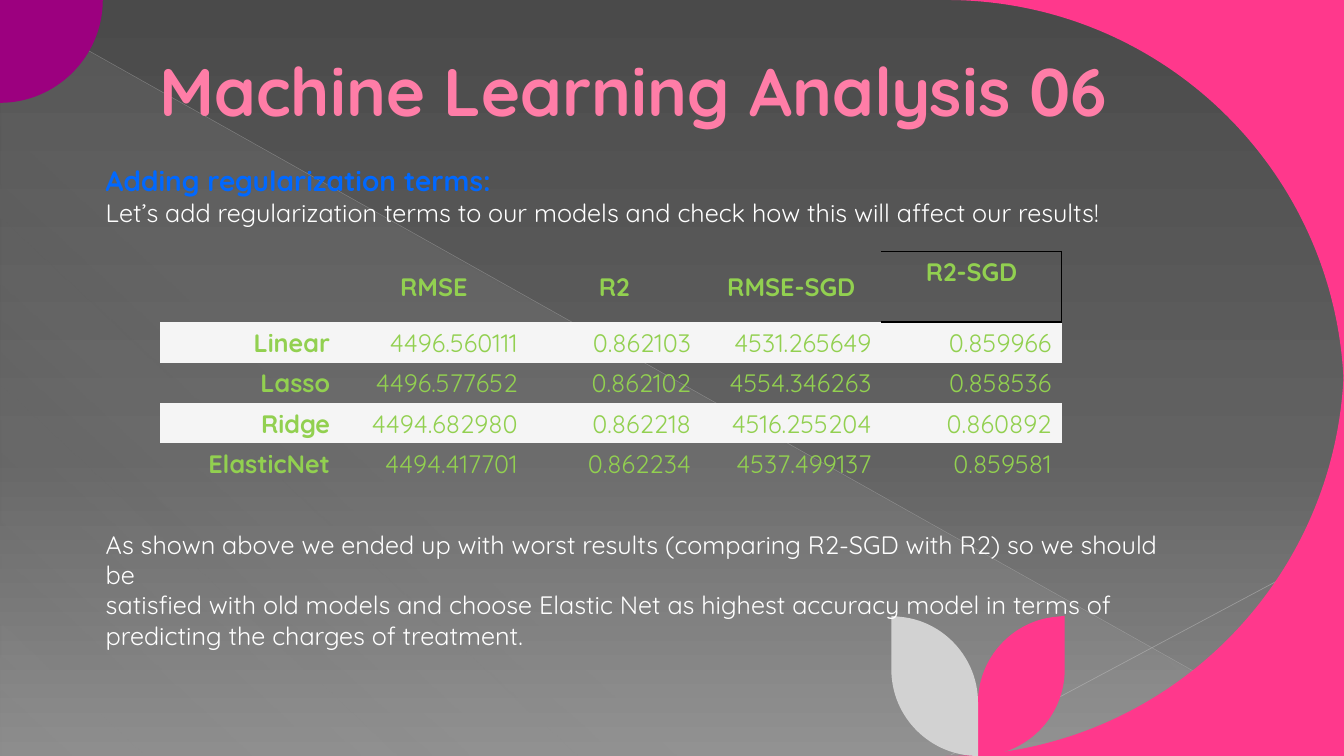
"""Build the regularization results slide of a machine learning analysis."""
import dataclasses
import typing

import pptx
import pptx.dml.color
import pptx.enum.shapes
import pptx.enum.text
import pptx.oxml
import pptx.oxml.ns
import pptx.util

RGB = pptx.dml.color.RGBColor
PINK = RGB(0xFF, 0x38, 0x8C)
TITLE_PINK = RGB(0xFF, 0x7D, 0xA7)
PURPLE = RGB(0x9C, 0x00, 0x7F)
SILVER = RGB(0xD2, 0xD2, 0xD2)
LINE_GREY = RGB(0xC6, 0xC6, 0xC6)
BLUE = RGB(0x00, 0x68, 0xFF)
GREEN = RGB(0x92, 0xD0, 0x50)
WHITE = RGB(0xFF, 0xFF, 0xFF)
BAND = RGB(0xF5, 0xF5, 0xF5)
BLACK = RGB(0, 0, 0)
SLATE = (RGB(0x4A, 0x4A, 0x4A), RGB(0x62, 0x62, 0x62), RGB(0x8C, 0x8C, 0x8C))

FONT = "Quicksand"
WIDTH, HEIGHT = pptx.util.Inches(13.33), pptx.util.Inches(7.5)
LEAF_AXIS = 72.77
ANCHOR = pptx.enum.text.MSO_ANCHOR
ALIGN = pptx.enum.text.PP_ALIGN
DRAWING_NS = pptx.oxml.ns.nsdecls("a")

Point = tuple[float, float]


@dataclasses.dataclass(frozen=True)
class Outline:
    """Closed outline in slide percentages; a piece is a corner or a curve's last three points."""
    color: RGB
    pieces: tuple[tuple[Point, ...], ...]


@dataclasses.dataclass(frozen=True)
class Line:
    """One paragraph of text and its font values."""
    words: str
    size: float
    color: RGB
    bold: bool = False


@dataclasses.dataclass(frozen=True)
class Passage:
    """Text box in slide percentages, with its frame values."""
    box: tuple[float, float, float, float]
    lines: tuple[Line, ...]
    frame: dict[str, typing.Any] = dataclasses.field(default_factory=dict)


LEAF = (((79.22, 81.47),), ((79.22, 88.53),), ((79.22, 94.93), (76.29, 100), (LEAF_AXIS, 100)),
        ((LEAF_AXIS, 92.93),), ((LEAF_AXIS, 87.07), (75.32, 82.13), (78.54, 81.6)))
MIRRORED_LEAF = tuple(tuple((2 * LEAF_AXIS - x, y) for x, y in piece) for piece in LEAF)

OUTLINES = (
    Outline(PINK, (((100, 0),), ((70.37, 0),), ((86.8, 0), (100, 23.6), (100, 52.67)))),
    Outline(PINK, (((100, 47.33),), ((100, 76.4), (86.8, 100), (70.37, 100)), ((100, 100),))),
    Outline(PURPLE, (((0, 0),), ((7.65, 0),), ((7.65, 7.47), (4.2, 13.6), (0, 13.6)))),
    Outline(PINK, LEAF),
    Outline(SILVER, MIRRORED_LEAF),
)
HAIRLINES = (((0, 0.13), (99.92, 99.87), 0.39, 35), ((100, 72.13), (70.74, 99.87), 0.47, 45))

PASSAGES = (
    Passage((7.13, 6.8, 80.2, 21.73), (Line("Machine Learning Analysis 06", 48, TITLE_PINK, True),),
            {"vertical_anchor": ANCHOR.BOTTOM, "margin_left": pptx.util.Inches(0.63),
             "margin_bottom": pptx.util.Inches(0.85)}),
    Passage((7.13, 21.03, 90.62, 18), (
        Line("Adding regularization terms:", 20, BLUE, True),
        Line("Let’s add regularization terms to our models and check how this will affect our results!",
             18, WHITE))),
    Passage((7.13, 65.33, 81.17, 17.47), tuple(Line(words, 18, WHITE) for words in (
        "As shown above we ended up with worst results (comparing R2-SGD with R2) so we should be",
        "satisfied with old models and choose Elastic Net as highest accuracy model in terms of",
        "predicting the charges of treatment.")),
        {"margin_top": pptx.util.Inches(0.35)}),
)

SCORES = (
    ("", "RMSE", "R2", "RMSE-SGD", "R2-SGD"),
    ("Linear", "4496.560111", "0.862103", "4531.265649", "0.859966"),
    ("Lasso", "4496.577652", "0.862102", "4554.346263", "0.858536"),
    ("Ridge", "4494.682980", "0.862218", "4516.255204", "0.860892"),
    ("ElasticNet", "4494.417701", "0.862234", "4537.499137", "0.859581"),
)
SCORE_COLUMNS = (13.43, 13.95, 12.9, 13.43, 13.4)
SCORE_ROWS = (9.4,) + (5.33,) * 4
BOXED_EDGES = {"R": 0.75, "T": 0.75, "B": 1.5}


def across(share: float) -> int:
    """Turn a percentage of the slide's width into a length."""
    return round(WIDTH * share / 100)


def down(share: float) -> int:
    """Turn a percentage of the slide's height into a length."""
    return round(HEIGHT * share / 100)


def set_all(target: typing.Any, values: dict[str, typing.Any]) -> None:
    """Set each named value on the target."""
    for name, value in values.items():
        setattr(target, name, value)


def paint_gradient(owner: typing.Any, stops: typing.Sequence[tuple[int, RGB, int]], angle: int) -> None:
    """Replace the owner's gradient with stops of position, colour and opacity."""
    gradient = next(owner.iter(pptx.oxml.ns.qn("a:gradFill")))
    marks = "".join(f'<a:gs pos="{place * 1000}"><a:srgbClr val="{color}"><a:alpha val="{opacity * 1000}"/>'
                    "</a:srgbClr></a:gs>" for place, color, opacity in stops)
    gradient.getparent().replace(gradient, pptx.oxml.parse_xml(
        f'<a:gradFill {DRAWING_NS} rotWithShape="1"><a:gsLst>{marks}</a:gsLst>'
        f'<a:lin ang="{angle * 60000}" scaled="0"/></a:gradFill>'))


def draw_backdrop(slide: typing.Any) -> None:
    """Paint the background, its sheen and its hairlines."""
    slide.background.fill.gradient()
    paint_gradient(slide.element, [(p, c, 100) for p, c in zip((0, 60, 100), SLATE)], 90)
    sheen = slide.shapes.add_shape(pptx.enum.shapes.MSO_SHAPE.RIGHT_TRIANGLE,
                                   across(0.08), down(0.27), across(99.85), down(99.73))
    sheen.shadow.inherit = False
    sheen.line.fill.background()
    sheen.fill.gradient()
    paint_gradient(sheen.element, [(0, SILVER, 10), (70, SILVER, 8), (100, SILVER, 1)], 133)
    for start, end, weight, opacity in HAIRLINES:
        hairline = slide.shapes.add_connector(pptx.enum.shapes.MSO_CONNECTOR.STRAIGHT, across(start[0]),
                                              down(start[1]), across(end[0]), down(end[1]))
        hairline.line.width = pptx.util.Pt(weight)
        hairline.line.color.rgb = LINE_GREY
        tint = next(hairline.element.iter(pptx.oxml.ns.qn("a:srgbClr")))
        tint.append(pptx.oxml.parse_xml(f'<a:alpha {DRAWING_NS} val="{opacity * 1000}"/>'))
        hairline.element.spPr.append(pptx.oxml.parse_xml(f"<a:effectLst {DRAWING_NS}/>"))


def draw_outline(slide: typing.Any, outline: Outline) -> None:
    """Draw one filled outline, bending the segments that are curves."""
    start, *rest = [(across(piece[-1][0]), down(piece[-1][1])) for piece in outline.pieces]
    builder = slide.shapes.build_freeform(*start)
    builder.add_line_segments(rest, close=True)
    petal = builder.convert_to_shape()
    segments = list(petal.element.iter(pptx.oxml.ns.qn("a:lnTo")))
    for segment, piece in zip(segments, outline.pieces[1:]):
        if len(piece) == 3:
            controls = "".join(f'<a:pt x="{across(x) - petal.left}" y="{down(y) - petal.top}"/>'
                               for x, y in piece)
            segment.getparent().replace(segment, pptx.oxml.parse_xml(
                f"<a:cubicBezTo {DRAWING_NS}>{controls}</a:cubicBezTo>"))
    petal.shadow.inherit = False
    petal.fill.solid()
    petal.fill.fore_color.rgb = outline.color
    petal.line.fill.background()


def write(paragraph: typing.Any, line: Line) -> None:
    """Write one line into a paragraph."""
    run = paragraph.add_run()
    run.text = line.words
    set_all(run.font, {"name": FONT, "size": pptx.util.Pt(line.size), "bold": line.bold})
    run.font.color.rgb = line.color


def draw_passage(slide: typing.Any, passage: Passage) -> None:
    """Draw one text box."""
    left, top, width, height = passage.box
    frame = slide.shapes.add_textbox(across(left), down(top), across(width), down(height)).text_frame
    set_all(frame, {"word_wrap": True, **passage.frame})
    for index, line in enumerate(passage.lines):
        write(frame.add_paragraph() if index else frame.paragraphs[0], line)


def draw_scores(slide: typing.Any) -> None:
    """Draw the table of model scores."""
    scores = slide.shapes.add_table(len(SCORES), len(SCORE_COLUMNS), across(11.88), down(33.23),
                                    across(sum(SCORE_COLUMNS)), down(sum(SCORE_ROWS))).table
    set_all(scores, {"first_row": False, "horz_banding": False})
    for column, share in zip(scores.columns, SCORE_COLUMNS):
        column.width = across(share)
    for row, share in zip(scores.rows, SCORE_ROWS):
        row.height = down(share)
    for r, entries in enumerate(SCORES):
        for c, entry in enumerate(entries):
            cell = scores.cell(r, c)
            boxed = entry == "R2-SGD"
            cell.vertical_anchor = ANCHOR.TOP if boxed else ANCHOR.MIDDLE
            for edge in "LRTB":
                weight = BOXED_EDGES.get(edge, 0) if boxed else 0
                if r == 1 and c == len(entries) - 1 and edge == "T":
                    weight = BOXED_EDGES["B"]
                paint = f'<a:solidFill><a:srgbClr val="{BLACK}"/></a:solidFill>' if weight else "<a:noFill/>"
                cell._tc.get_or_add_tcPr().append(pptx.oxml.parse_xml(
                    f'<a:ln{edge} {DRAWING_NS} w="{round(weight * 12700)}">{paint}</a:ln{edge}>'))
            if r % 2:
                cell.fill.solid()
                cell.fill.fore_color.rgb = BAND
            else:
                cell.fill.background()
            paragraph = cell.text_frame.paragraphs[0]
            paragraph.alignment = ALIGN.RIGHT if r else ALIGN.CENTER
            if entry:
                write(paragraph, Line(entry, 18, GREEN, r == 0 or c == 0))


def main() -> None:
    """Build and save the slide."""
    deck = pptx.Presentation()
    set_all(deck, {"slide_width": WIDTH, "slide_height": HEIGHT})
    slide = deck.slides.add_slide(deck.slide_layouts[6])
    draw_backdrop(slide)
    for outline in OUTLINES:
        draw_outline(slide, outline)
    for passage in PASSAGES:
        draw_passage(slide, passage)
    draw_scores(slide)
    deck.save("out.pptx")


if __name__ == "__main__":
    main()
